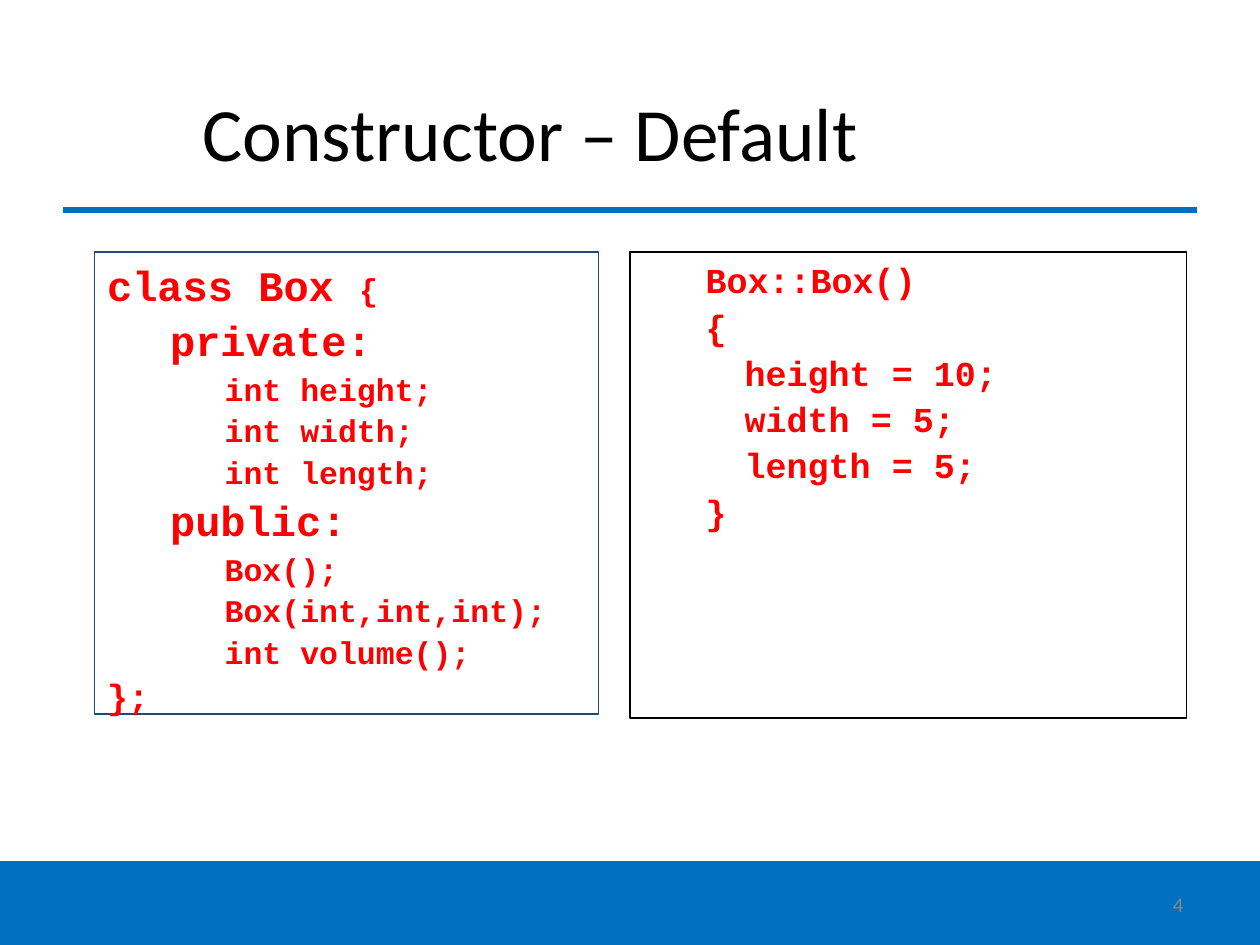
from lxml import etree
from pptx import Presentation
from pptx.dml.color import RGBColor
from pptx.enum.shapes import MSO_CONNECTOR, MSO_SHAPE
from pptx.enum.text import MSO_ANCHOR, PP_ALIGN
from pptx.oxml.ns import qn
from pptx.util import Pt

RECTANGLE = MSO_SHAPE.RECTANGLE
STRAIGHT = MSO_CONNECTOR.STRAIGHT
TOP = MSO_ANCHOR.TOP
LEFT = PP_ALIGN.LEFT

COLORS = {"blue": "006FC0", "navy": "1F487C", "black": "000000",
          "code": "FF0000", "number": "888888"}
WIDTH, HEIGHT = 720, 540

# Each line of code: text, indent, size, space before, line spacing
CLASS_CODE = [
    ("class Box ", 7.2, 24, 0, 1),
    ("private:", 43.2, 24, 2.9, 1),
    ("int height;\vint width;\vint length;", 74.4, 18, 0.6, 1.1),
    ("public:", 43.2, 24, 2.3, 1),
    ("Box();\vBox(int,int,int);\vint volume();", 74.4, 18, 0.6, 1.1),
    ("};", 7.2, 20, 2.2, 1),
]
CONSTRUCTOR_CODE = [
    ("Box::Box()", 43.2, 20, 0, 1),
    ("{", 43.2, 20, 2.4, 1),
    ("height = 10;", 65.5, 20, 2.4, 1),
    ("width = 5;", 65.5, 20, 2.4, 1),
    ("length = 5;", 65.5, 20, 2.4, 1),
    ("}", 43.2, 20, 2.4, 1),
]


def color(name):
    return RGBColor.from_string(COLORS[name])


def set_font(paragraph, name, size, color_name, bold=False):
    font = paragraph.font
    font.name, font.size, font.bold = name, Pt(size), bold
    font.color.rgb = color(color_name)


def prepare_frame(shape, top_inset=0):
    frame = shape.text_frame
    frame.margin_left = frame.margin_right = frame.margin_bottom = 0
    frame.margin_top = Pt(top_inset)
    frame.word_wrap = True
    frame.vertical_anchor = TOP
    return frame


def add_label(slide, box, text, size, color_name, indent):
    frame = prepare_frame(slide.shapes.add_textbox(*map(Pt, box)))
    paragraph = frame.paragraphs[0]
    paragraph.text = text
    paragraph._p.get_or_add_pPr().set("marL", str(Pt(indent)))
    set_font(paragraph, "Calibri", size, color_name)


def add_header(slide, box):
    left, top, width, height = box
    add_label(slide, (left + 46, top, width - 92, 44.6),
              "Constructor – Default", 43, "black", 33.8)
    # Rule below the title
    ends = (left, top + height, left + width, top + height)
    rule = slide.shapes.add_connector(STRAIGHT, *map(Pt, ends))
    rule.line.color.rgb = color("blue")
    rule.line.width = Pt(3)
    etree.SubElement(rule._element.spPr, qn("a:effectLst"))


def add_footer(slide, box):
    left, top, width, _ = box
    band = slide.shapes.add_shape(RECTANGLE, *map(Pt, box))
    band.shadow.inherit = False
    band.fill.solid()
    band.fill.fore_color.rgb = color("blue")
    band.line.fill.background()
    # Slide number
    add_label(slide, (left + width - 57.6, top + 17.2, 16.6, 14.4),
              "4", 12, "number", 7.9)


def add_code_box(slide, box, lines, line_color, top_inset):
    shape = slide.shapes.add_shape(RECTANGLE, *map(Pt, box))
    shape.shadow.inherit = False
    shape.fill.background()
    shape.line.color.rgb = color(line_color)
    shape.line.width = Pt(0.72)
    frame = prepare_frame(shape, top_inset)
    for index, (text, indent, size, before, spacing) in enumerate(lines):
        paragraph = frame.add_paragraph() if index else frame.paragraphs[0]
        paragraph.text = text
        paragraph.alignment = LEFT
        paragraph._p.get_or_add_pPr().set("marL", str(Pt(indent)))
        paragraph.space_before = Pt(before)
        paragraph.line_spacing = spacing
        set_font(paragraph, "Courier New", size, "code", bold=True)
    return frame


def main():
    presentation = Presentation()
    presentation.slide_width, presentation.slide_height = Pt(WIDTH), Pt(HEIGHT)
    slide = presentation.slides.add_slide(presentation.slide_layouts[6])

    add_footer(slide, (0, 492, WIDTH, 48))
    add_header(slide, (36, 49, 648, 71))
    add_code_box(slide, (360, 144, 318.2, 266.4), CONSTRUCTOR_CODE, "black", 4)
    class_frame = add_code_box(slide, (54, 144, 288, 264), CLASS_CODE, "navy", 4)

    # The opening brace is smaller than the class name
    brace = class_frame.paragraphs[0].add_run()
    brace.text = "{"
    brace.font.size = Pt(18)

    presentation.save("out.pptx")


if __name__ == "__main__":
    main()
